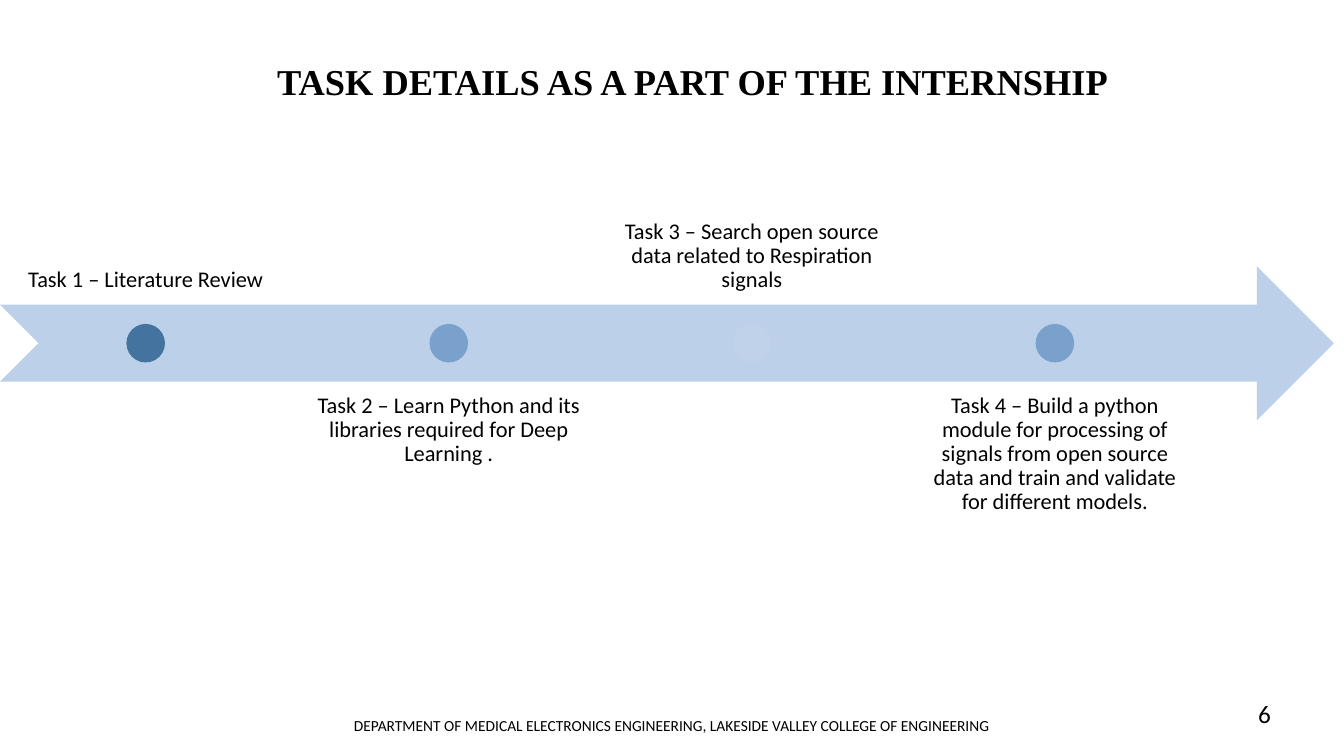
from dataclasses import dataclass

from pptx import Presentation
from pptx.dml.color import RGBColor
from pptx.enum.shapes import MSO_SHAPE as SHAPE
from pptx.enum.text import MSO_ANCHOR as ANCHOR, PP_ALIGN as ALIGN
from pptx.util import Inches, Pt


@dataclass(frozen=True)
class Theme:
    """Fonts, type sizes and colours of the slide."""
    heading: str = "Times New Roman"
    body: str = "Calibri"
    title_size: float = 26
    number_size: float = 18
    task_size: float = 16
    footer_size: float = 11
    text: str = "000000"
    arrow: str = "BDD0E9"
    dots: tuple = ("43739E", "7AA1CC", "C0D2EA", "7AA1CC")


THEME = Theme()
TASKS = (
    "Task 1 – Literature Review",
    "Task 2 – Learn Python and its libraries required for Deep Learning .",
    "Task 3 – Search open source data related to Respiration signals",
    "Task 4 – Build a python module for processing of signals from open source "
    "data and train and validate for different models.",
)


def add_text(s, box, text, size, font=THEME.body, bold=False,
             align=ALIGN.LEFT, anchor=ANCHOR.TOP, inset=None):
    """Add a wrapped one-paragraph text box and return its paragraph."""
    tf = s.shapes.add_textbox(*map(Inches, box)).text_frame
    tf.word_wrap = True
    tf.vertical_anchor = anchor
    if inset is not None:
        tf.margin_left = tf.margin_right = Inches(inset)
        tf.margin_top = tf.margin_bottom = Inches(inset)
    p = tf.paragraphs[0]
    p.text = text
    p.alignment = align
    p.font.name = font
    p.font.size = Pt(size)
    p.font.bold = bold
    p.font.color.rgb = RGBColor.from_string(THEME.text)
    return p


def add_filled(s, kind, box, color):
    """Add a flat preset shape without an outline."""
    sp = s.shapes.add_shape(kind, *map(Inches, box))
    sp.shadow.inherit = False
    sp.fill.solid()
    sp.fill.fore_color.rgb = RGBColor.from_string(color)
    sp.line.fill.background()


def add_title(s, box):
    """Place the slide heading."""
    add_text(s, box, "TASK DETAILS AS A PART OF THE INTERNSHIP",
             THEME.title_size, THEME.heading, bold=True)


def add_timeline(s, box):
    """Place the arrow with its dots and the tasks alternating above and below."""
    left, top, width, height = box
    middle = top + height / 2
    add_filled(s, SHAPE.NOTCHED_RIGHT_ARROW, box, THEME.arrow)
    label_w, pitch, dot = 2.87, 3.006, height / 4
    for i, (task, color) in enumerate(zip(TASKS, THEME.dots)):
        x = left + 0.01 + i * pitch
        above = i % 2 == 0
        y = middle - 1.25 * height if above else middle + height / 4
        p = add_text(s, (x, y, label_w, height), task, THEME.task_size,
                     align=ALIGN.CENTER, inset=0.12,
                     anchor=ANCHOR.BOTTOM if above else ANCHOR.TOP)
        p.line_spacing = 0.9
        add_filled(s, SHAPE.OVAL,
                   (x + (label_w - dot) / 2, middle - dot / 2, dot, dot), color)


def add_footer(s, box):
    """Place the department line and the slide number."""
    left, top, width, height = box
    add_text(s, (left, top + 0.12, 10.29, height),
             "DEPARTMENT OF MEDICAL ELECTRONICS ENGINEERING, "
             "LAKESIDE VALLEY COLLEGE OF ENGINEERING",
             THEME.footer_size, align=ALIGN.CENTER, anchor=ANCHOR.MIDDLE)
    number_w = 0.39
    add_text(s, (left + width - number_w, top, number_w, height),
             "6", THEME.number_size)


def main():
    """Build the slide and save it."""
    prs = Presentation()
    prs.slide_width, prs.slide_height = Inches(13.33), Inches(7.5)
    s = prs.slides.add_slide(prs.slide_layouts[6])
    add_title(s, (2.65, 0.54, 10, 0.54))
    add_timeline(s, (0, 2.64, 13.23, 1.53))
    add_footer(s, (1.52, 6.88, 11.25, 0.4))
    prs.save("out.pptx")


if __name__ == "__main__":
    main()
